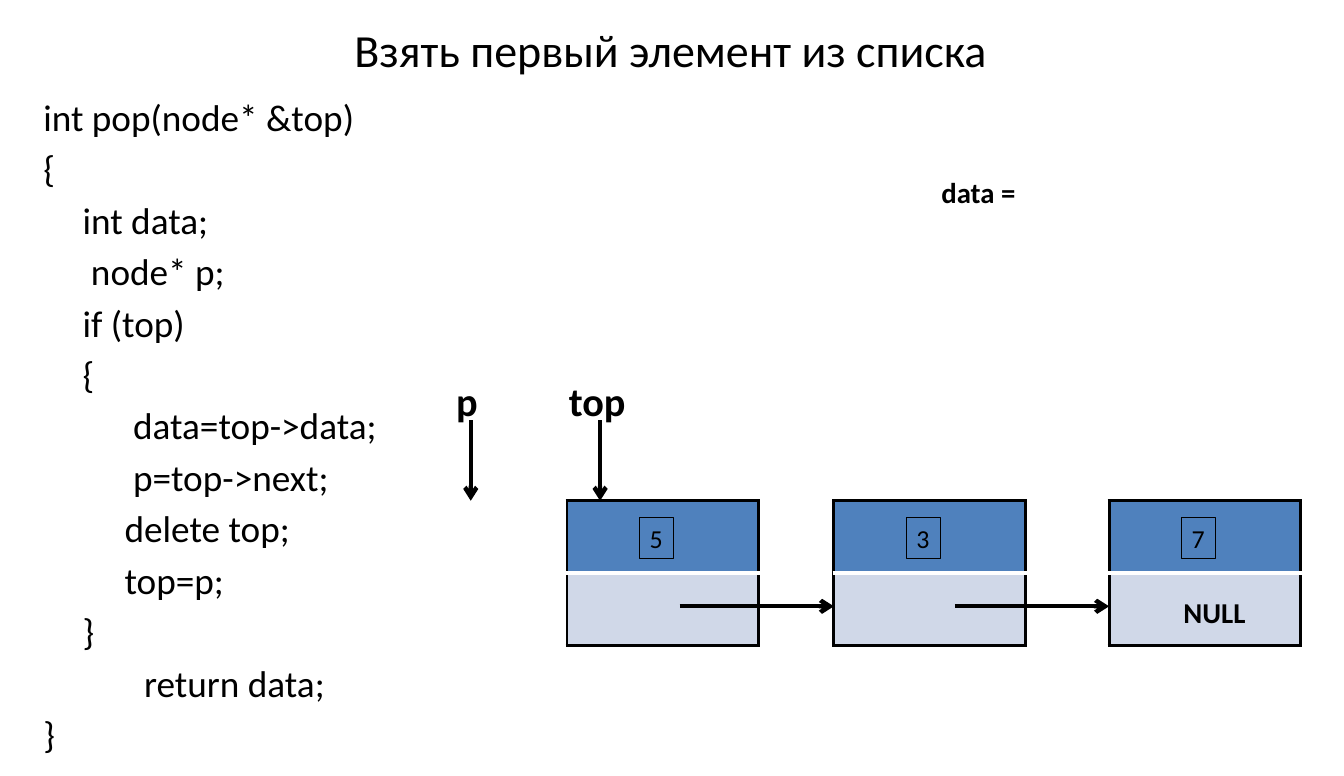
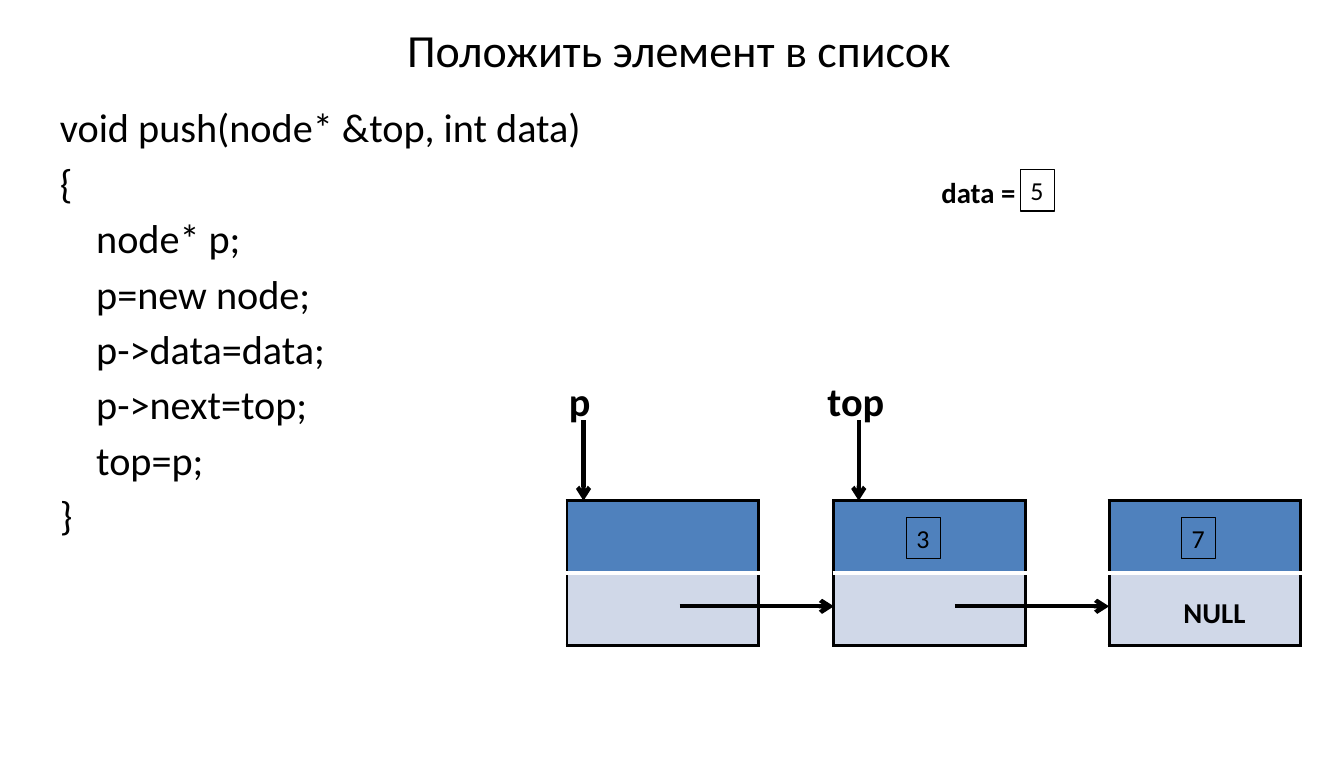
from lxml import etree
from pptx import Presentation
from pptx.dml.color import RGBColor
from pptx.enum.shapes import MSO_CONNECTOR, MSO_SHAPE
from pptx.enum.text import MSO_ANCHOR, MSO_AUTO_SIZE, PP_ALIGN
from pptx.oxml.ns import qn
from pptx.util import Inches, Pt

STRAIGHT = MSO_CONNECTOR.STRAIGHT
RECTANGLE = MSO_SHAPE.RECTANGLE
CENTER, LEFT = PP_ALIGN.CENTER, PP_ALIGN.LEFT
MIDDLE, TOP = MSO_ANCHOR.MIDDLE, MSO_ANCHOR.TOP
FIT_SHAPE = MSO_AUTO_SIZE.SHAPE_TO_FIT_TEXT

BLACK = RGBColor(0x00, 0x00, 0x00)
WHITE = RGBColor(0xFF, 0xFF, 0xFF)
DATA_BLUE = RGBColor(0x4F, 0x81, 0xBD)
LINK_BLUE = RGBColor(0xD0, 0xD8, 0xE8)
FONT = "Calibri"

# Grid of the list diagram, in inches
NODE_COLUMNS = (5.48, 8.06, 10.72)
NODE_TOP, NODE_WIDTH, ROW_HEIGHT = 4.84, 1.85, 0.7
VALUE_OFFSET, VALUE_TOP = 0.7, 5.0
LINK_Y, LINK_LENGTH = 5.86, 1.49
POINTER_LABEL_TOP, POINTER_TOP = 3.59, 4.06
DATA_LEFT, DATA_TOP = 9.0, 1.64
CODE_INDENT = 0.38

POP_CODE = (
    "int pop(node* &top)",
    "{",
    "\tint data;",
    "\t node* p;",
    "\tif (top)",
    "\t{",
    "    \t      data=top->data;",
    "\t      p=top->next;",
    "\t     delete top;",
    "\t     top=p;",
    "\t}",
    "            return data;",
    "}",
)
PUSH_CODE = (
    "void push(node* &top, int data)",
    "{",
    "    node* p;",
    "    p=new node;",
    "    p->data=data;",
    "    p->next=top;",
    "    top=p;",
    "}",
)


def format_text(para, size, bold=False, align=LEFT):
    para.alignment = align
    for span in para.runs:
        span.font.name = FONT
        span.font.size = Pt(size)
        span.font.bold = bold
        span.font.color.rgb = BLACK


def add_title(page, text, left):
    title = page.shapes.title
    title.left, title.top = Inches(left), 0
    title.width, title.height = Inches(11.69), Inches(0.94)
    title.text_frame.text = text
    title.text_frame.vertical_anchor = MIDDLE
    format_text(title.text_frame.paragraphs[0], 32, align=CENTER)


def add_code(page, lines, area, size):
    """Code block with hanging indents; a tab reaches the indent."""
    frame = page.shapes.add_textbox(*map(Inches, area)).text_frame
    frame.word_wrap = True
    for number, line in enumerate(lines):
        para = frame.add_paragraph() if number else frame.paragraphs[0]
        para.text = line
        props = para._p.get_or_add_pPr()
        props.set("marL", str(Inches(CODE_INDENT)))
        props.set("indent", str(-Inches(CODE_INDENT)))
        para.space_before = Pt(round(size * 0.18, 1) if number else 0)
        format_text(para, size)


def add_label(page, text, left, top, width, height, size):
    box = page.shapes.add_textbox(*map(Inches, (left, top, width, height)))
    frame = box.text_frame
    frame.word_wrap = False
    frame.auto_size = FIT_SHAPE
    frame.text = text
    format_text(frame.paragraphs[0], size, bold=True)


def add_value(page, text, left, top):
    box = page.shapes.add_shape(
        RECTANGLE, *map(Inches, (left, top, 0.33, 0.4)))
    box.shadow.inherit = False
    box.fill.background()
    box.line.color.rgb = BLACK
    box.line.width = Pt(0.75)
    frame = box.text_frame
    frame.word_wrap = False
    frame.auto_size = FIT_SHAPE
    frame.vertical_anchor = TOP
    frame.text = text
    format_text(frame.paragraphs[0], 18)


def add_arrow(page, start, end):
    arrow = page.shapes.add_connector(
        STRAIGHT, *map(Inches, (*start, *end)))
    arrow.line.color.rgb = BLACK
    arrow.line.width = Pt(3)
    etree.SubElement(arrow.line._get_or_add_ln(), qn("a:tailEnd"),
                     type="arrow")
    etree.SubElement(arrow._element.spPr, qn("a:effectLst"))


def set_border(cell, side, color, width):
    edge = etree.SubElement(cell._tc.get_or_add_tcPr(), qn("a:ln" + side),
                            w=str(Pt(width)))
    fill = etree.SubElement(edge, qn("a:solidFill"))
    etree.SubElement(fill, qn("a:srgbClr"), val=str(color))


def add_node(page, left):
    """List node: a data row over a link row, split by a white rule."""
    table = page.shapes.add_table(
        2, 1, *map(Inches, (left, NODE_TOP, NODE_WIDTH, 2 * ROW_HEIGHT))).table
    table.first_row = table.horz_banding = False
    outline, divider = (BLACK, 2.25), (WHITE, 3)
    rows = ((DATA_BLUE, outline, divider), (LINK_BLUE, divider, outline))
    for row, (color, upper, lower) in enumerate(rows):
        cell = table.cell(row, 0)
        for side, border in zip("LRTB", (outline, outline, upper, lower)):
            set_border(cell, side, *border)
        cell.fill.solid()
        cell.fill.fore_color.rgb = color


def add_list(page, values):
    for left in NODE_COLUMNS:
        add_node(page, left)
    for left, value in zip(NODE_COLUMNS, values):
        if value:
            add_value(page, value, left + VALUE_OFFSET, VALUE_TOP)
    for left in NODE_COLUMNS[1:]:
        add_arrow(page, (left - LINK_LENGTH, LINK_Y), (left, LINK_Y))
    add_label(page, "NULL", NODE_COLUMNS[-1] + 0.62, 5.7, 0.81, 0.44, 20)


def add_pointer(page, name, left, width, arrow_offset):
    x = left + arrow_offset
    add_arrow(page, (x, POINTER_TOP), (x, NODE_TOP))
    add_label(page, name, left, POINTER_LABEL_TOP, width, 0.57, 28)


def add_diagram(page, values, p_left, top_left):
    add_list(page, values)
    add_pointer(page, "p", p_left, 0.41, 0.24)
    add_pointer(page, "top", top_left, 0.76, 0.4)
    add_label(page, "data =", DATA_LEFT, DATA_TOP, 0.92, 0.44, 20)


def main():
    deck = Presentation()
    deck.slide_width, deck.slide_height = Inches(12.99), Inches(7.5)
    title_only = deck.slide_layouts[5]

    # Taking the first element
    page = deck.slides.add_slide(title_only)
    add_title(page, "Взять первый элемент из списка", 0.64)
    add_code(page, POP_CODE, (0.32, 0.86, 6.09, 6.25), 25.9)
    add_diagram(page, ("5", "3", "7"), p_left=4.31, top_left=5.4)

    # Adding an element
    page = deck.slides.add_slide(title_only)
    add_title(page, "Положить элемент в список", 0.72)
    add_code(page, PUSH_CODE, (0.48, 0.94, 5.91, 5.76), 28)
    add_diagram(page, (None, "3", "7"), p_left=5.4, top_left=7.9)
    add_value(page, "5", DATA_LEFT + 0.86, DATA_TOP)

    deck.save("out.pptx")


if __name__ == "__main__":
    main()
